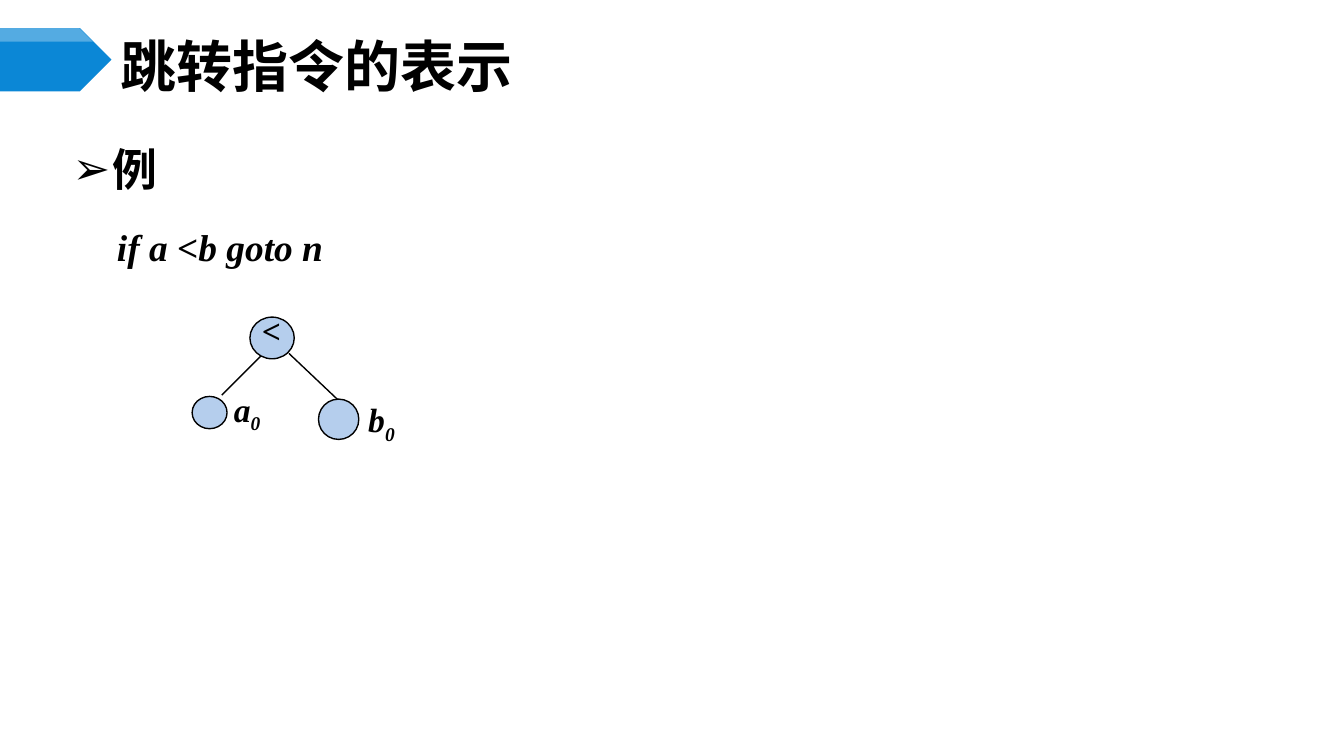
from lxml import etree
from pptx import Presentation, util as u
from pptx.dml import color as col
from pptx.enum import shapes, text
from pptx.oxml import ns

HEI, ROMAN = "Noto Sans CJK SC", "Times New Roman"
BLUE, PALE, BLACK, WHITE = "0B87D6", "B5CEED", "000000", "FFFFFF"


def rgb(code):
    return col.RGBColor.from_string(code)


def sub(node, tag, **attrs):
    return etree.SubElement(node, ns.qn(tag), attrs)


class Deck:
    inset = dict(margin_left=0.07, margin_top=0.04, margin_right=0.07, margin_bottom=0.04)

    def __init__(self, wide, high):
        self.prs = Presentation()
        self.prs.slide_width, self.prs.slide_height = u.Inches(wide), u.Inches(high)
        self.slide = self.prs.slides.add_slide(self.prs.slide_layouts[1])
        self.items = self.slide.shapes

    def run(self, para, words, face, size, low=False, **form):
        run = para.add_run()
        run.text = words
        form = dict(name=face, size=u.Pt(size), bold=True) | form
        for key, val in form.items():
            setattr(run.font, key, val)
        run.font.color.rgb = rgb(BLACK)
        props = run.font._element
        sub(props, "a:ea", typeface=face)
        if low:
            props.set("baseline", "-25000")

    def frame(self, shape, **form):
        pads = {key: u.Inches(val) for key, val in self.inset.items()}
        form = dict(word_wrap=True, auto_size=text.MSO_AUTO_SIZE.NONE) | pads | form
        for key, val in form.items():
            setattr(shape.text_frame, key, val)
        return shape.text_frame

    def holder(self, index, box, **form):
        shape = self.slide.placeholders[index]
        shape.left, shape.top, shape.width, shape.height = map(u.Inches, box)
        return self.frame(shape, **form)

    def item(self, para, left, hang, bullet=None, **form):
        props = para._p.get_or_add_pPr()
        props.set("marL", str(u.Inches(left)))
        props.set("indent", str(u.Inches(hang)))
        if bullet:
            sub(props, "a:buChar", char=bullet)
        else:
            sub(props, "a:buNone")
        for key, val in form.items():
            setattr(para, key, val)

    def paint(self, shape, fill, line=None):
        shape.shadow.inherit = False
        shape.fill.solid()
        shape.fill.fore_color.rgb = rgb(fill)
        if line:
            shape.line.color.rgb = rgb(line)
            shape.line.width = u.Pt(0.75)
        else:
            shape.line.fill.background()
        return shape

    def shape(self, kind, box, fill, line=None):
        return self.paint(self.items.add_shape(kind, *map(u.Inches, box)), fill, line)

    def strip(self, points, fill, alpha):
        start, *rest = [tuple(map(u.Inches, spot)) for spot in points]
        build = self.items.build_freeform(*start)
        build.add_line_segments(rest)
        shape = self.paint(build.convert_to_shape(), fill)
        tone = shape._element.spPr.find(".//" + ns.qn("a:srgbClr"))
        sub(tone, "a:alpha", val=str(alpha * 1000))

    def edge(self, start, end):
        ends = map(u.Inches, (*start, *end))
        line = self.items.add_connector(shapes.MSO_CONNECTOR.STRAIGHT, *ends)
        line.line.color.rgb = rgb(BLACK)
        line.line.width = u.Pt(0.75)
        sub(line._element.spPr, "a:effectLst")

    def label(self, box, **form):
        shape = self.items.add_textbox(*map(u.Inches, box))
        return self.frame(shape, **form).paragraphs[0]


def main():
    deck = Deck(10, 10 * 9 / 16)

    # Title banner
    kind = shapes.MSO_SHAPE
    deck.shape(kind.PENTAGON, (0, 0.21, 0.83, 0.47), BLUE)
    deck.strip([(0, 0.21), (0.59, 0.21), (0.69, 0.31), (0, 0.31)], WHITE, 30)
    head = deck.holder(0, (0.83, 0.29, 8.67, 0.39),
                       vertical_anchor=text.MSO_ANCHOR.MIDDLE).paragraphs[0]
    head.alignment = text.PP_ALIGN.LEFT
    deck.run(head, "跳转指令的表示", HEI, 30)

    # Example statement
    body = deck.holder(1, (0.47, 0.93, 4.51, 1.99))
    first, code = body.paragraphs[0], body.add_paragraph()
    deck.item(first, 0.3, -0.3, "➢", line_spacing=u.Pt(35), space_before=u.Pt(0))
    deck.run(first, "例", HEI, 24)
    deck.item(code, 0.33, 0, level=1, line_spacing=u.Pt(35), space_before=u.Pt(4))
    deck.run(code, "if a <b goto n", ROMAN, 20, italic=True)

    # Tree edges and nodes
    deck.edge((1.95, 2.64), (1.65, 2.94))
    deck.edge((2.15, 2.63), (2.52, 2.98))
    for box in ((1.43, 2.95, 0.26, 0.24), (1.86, 2.36, 0.33, 0.31), (2.37, 2.97, 0.3, 0.3)):
        deck.shape(kind.OVAL, box, PALE, BLACK)

    # Node labels
    sign = deck.label((1.85, 2.26, 0.24, 0.4), margin_left=u.Inches(0.1),
                      margin_right=u.Inches(0.1), margin_top=u.Inches(0.05))
    deck.run(sign, "<", ROMAN, 18)
    for name, left, top in (("a", 1.67, 2.85), ("b", 2.67, 2.93)):
        para = deck.label((left, top, 0.36, 0.38), word_wrap=False)
        deck.run(para, name, ROMAN, 18, italic=True)
        deck.run(para, "0", ROMAN, 18, low=True, italic=True)

    deck.prs.save("out.pptx")


if __name__ == "__main__":
    main()
